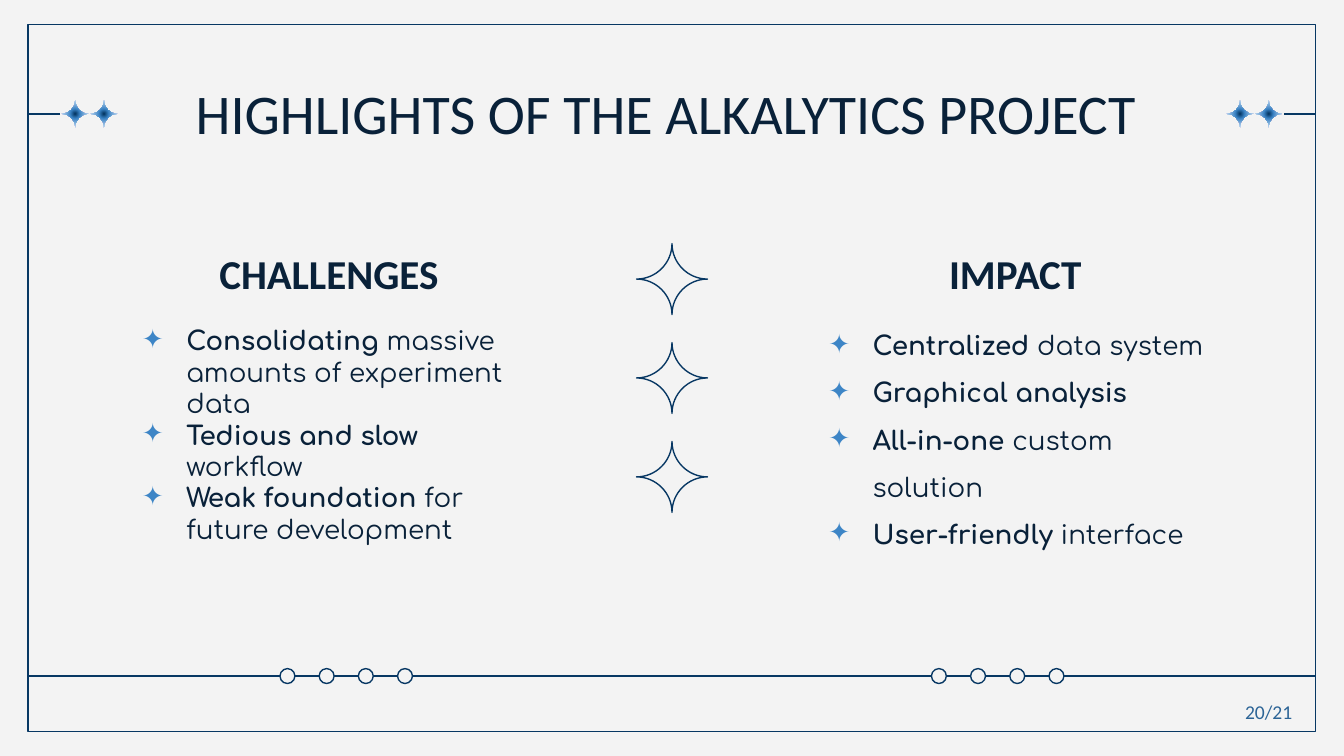
from dataclasses import dataclass

from lxml.etree import SubElement
from pptx import Presentation
from pptx.dml.color import RGBColor as Rgb
from pptx.enum.shapes import MSO_CONNECTOR as Conn, MSO_SHAPE as Kind
from pptx.enum.text import MSO_ANCHOR as Anchor, PP_ALIGN as Align
from pptx.oxml import parse_xml
from pptx.oxml.ns import nsdecls, qn
from pptx.util import Pt


@dataclass(frozen=True)
class Theme:
    paper: str = "F3F3F3"
    line: str = "073763"
    ink: str = "092139"
    mark: str = "3D85C6"
    pale: str = "9FC5E8"
    page: str = "2C6496"
    head: str = "Calibri"
    body: str = "Comfortaa"
    title_size: float = 30
    head_size: float = 22
    body_size: float = 14
    page_size: float = 10.5
    stroke: float = 0.75


@dataclass(frozen=True)
class Box:
    x: float
    y: float
    w: float
    h: float


@dataclass(frozen=True)
class Column:
    head: str
    top: Box
    list: Box
    space: float
    items: tuple[tuple[str, str], ...]


T = Theme()
WIDE, HIGH = 720, 405
FRAME = Box(15, 13, 689.7, 379)
TITLE_Y, BASE_Y = 61, 362.2
BEND = 0.55  # control distance that turns a curve into a quarter circle

COLUMNS = (
    Column("IMPACT", Box(424.4, 128.6, 239, 38), Box(424.4, 161.1, 237.6, 114.5), 1.5, (
        ("Centralized", " data system"),
        ("Graphical analysis", ""),
        ("All-in-one", " custom solution"),
        ("User-friendly", " interface"),
    )),
    Column("CHALLENGES", Box(56.7, 128.6, 239, 38), Box(56.7, 166.8, 239, 114.5), 1, (
        ("Consolidating", " massive amounts of experiment data"),
        ("Tedious and slow", " workflow"),
        ("Weak foundation", " for future development"),
    )),
)


def outline(shape, fill: str = "") -> None:
    shape.shadow.inherit = False
    if fill:
        shape.fill.solid()
        shape.fill.fore_color.rgb = Rgb.from_string(fill)
    else:
        shape.fill.background()
    shape.line.color.rgb = Rgb.from_string(T.line)
    shape.line.width = Pt(T.stroke)


def rule(slide, x1: float, x2: float, y: float) -> None:
    link = slide.shapes.add_connector(Conn.STRAIGHT, Pt(x1), Pt(y), Pt(x2), Pt(y))
    link.line.color.rgb = Rgb.from_string(T.line)
    link.line.width = Pt(T.stroke)
    SubElement(link._element.spPr, qn("a:effectLst"))


def glow(shape) -> None:
    """Swap the empty fill for a round gradient and drop the line."""
    shape.line.fill.background()
    stops = ((0, T.line), (25, T.mark), (60, T.pale), (100, T.paper))
    marks = "".join(f'<a:gs pos="{at * 1000}"><a:srgbClr val="{tint}"/></a:gs>'
                    for at, tint in stops)
    grad = parse_xml(
        f'<a:gradFill {nsdecls("a")}><a:gsLst>{marks}</a:gsLst><a:path path="circle">'
        '<a:fillToRect l="50000" t="50000" r="50000" b="50000"/></a:path></a:gradFill>')
    props = shape._element.spPr
    props.replace(props.find(qn("a:noFill")), grad)


def star(slide, x: float, y: float, size: float):
    """Four tips, each side bent towards the middle."""
    tips = [(Pt(x + size * dx), Pt(y + size * dy))
            for dx, dy in ((0, -1), (-1, 0), (0, 1), (1, 0))]
    pen = slide.shapes.build_freeform(*tips[0])
    pen.add_line_segments(tips[1:] + tips[:1], close=True)
    shape = pen.convert_to_shape()
    mid, pull = Pt(size), Pt(size * (1 - BEND))
    last = (mid, 0)
    for side in list(shape._element.spPr.iter(qn("a:lnTo"))):
        end = side.find(qn("a:pt"))
        tip = int(end.get("x")), int(end.get("y"))
        curve = side.getparent().makeelement(qn("a:cubicBezTo"))
        for px, py in (last, tip):
            SubElement(curve, qn("a:pt"), x=str(mid + round((px - mid) * pull / mid)),
                       y=str(mid + round((py - mid) * pull / mid)))
        curve.append(end)
        side.getparent().replace(side, curve)
        last = tip
    outline(shape)
    return shape


def bullet(para) -> None:
    props = para._p.get_or_add_pPr()
    props.set("marL", str(Pt(36)))
    props.set("indent", str(-Pt(23.76)))
    tint = SubElement(SubElement(props, qn("a:buClr")), qn("a:srgbClr"))
    tint.set("val", T.mark)
    SubElement(props, qn("a:buSzPts")).set("val", str(T.body_size * 100))
    SubElement(props, qn("a:buFont")).set("typeface", T.body)
    SubElement(props, qn("a:buChar")).set("char", "✦")


def write(slide, box: Box, rows, *, size: float, font: str, tint: str = T.ink,
          align=Align.LEFT, anchor=Anchor.TOP, pad=(7.2, 7.2, 7.2, 7.2),
          space: float = 1, dots: bool = False, wrap: bool = True) -> None:
    """Each row is a pair: its bold part, then its plain part."""
    area = slide.shapes.add_textbox(Pt(box.x), Pt(box.y), Pt(box.w), Pt(box.h))
    frame = area.text_frame
    frame.word_wrap = wrap
    frame.vertical_anchor = anchor
    (frame.margin_left, frame.margin_top,
     frame.margin_right, frame.margin_bottom) = map(Pt, pad)
    for i, row in enumerate(rows):
        para = frame.add_paragraph() if i else frame.paragraphs[0]
        para.alignment = align
        para.line_spacing = float(space)
        if dots:
            bullet(para)
        for part, bold in zip(row, (True, False)):
            if part:
                run = para.add_run()
                run.text = part
                run.font.name = font
                run.font.size = Pt(size)
                run.font.bold = bold
                run.font.color.rgb = Rgb.from_string(tint)


def main() -> None:
    deck = Presentation()
    deck.slide_width, deck.slide_height = Pt(WIDE), Pt(HIGH)
    slide = deck.slides.add_slide(deck.slide_layouts[6])
    slide.background.fill.solid()
    slide.background.fill.fore_color.rgb = Rgb.from_string(T.paper)

    # Frame and base line
    outline(slide.shapes.add_shape(
        Kind.RECTANGLE, Pt(FRAME.x), Pt(FRAME.y), Pt(FRAME.w), Pt(FRAME.h)))
    rule(slide, FRAME.x + FRAME.w, FRAME.x, BASE_Y)

    # Mirrored trim: stub, two glowing stars, four rings
    for flip in (False, True):
        def side(x: float) -> float:
            return WIDE - x if flip else x

        rule(slide, side(FRAME.x), side(32), TITLE_Y)
        for x in (40.3, 55.7):
            glow(star(slide, side(x), TITLE_Y, 7.1))
        for i in range(4):
            outline(slide.shapes.add_shape(
                Kind.OVAL, Pt(side(154 + 21 * i) - 4), Pt(BASE_Y - 4), Pt(8), Pt(8)),
                T.paper)

    # Title
    write(slide, Box(56.7, 42.1, 607, 38), [("", "HIGHLIGHTS OF THE ALKALYTICS PROJECT ")],
          size=T.title_size, font=T.head, align=Align.CENTER, pad=(7.2, 0, 7.2, 7.2))

    # Columns
    for col in COLUMNS:
        write(slide, col.top, [(col.head, "")], size=T.head_size, font=T.head,
              align=Align.CENTER, anchor=Anchor.BOTTOM)
        write(slide, col.list, col.items, size=T.body_size, font=T.body,
              space=col.space, dots=True)

    # Middle stars
    for i in range(3):
        star(slide, WIDE / 2, 149.5 + 53 * i, 19)

    # Page number
    write(slide, Box(660, 371.5, 45, 20), [("", "20/21")], size=T.page_size,
          font=T.head, tint=T.page, pad=(7.2, 3.6, 7.2, 3.6), wrap=False)

    deck.save("out.pptx")


if __name__ == "__main__":
    main()
